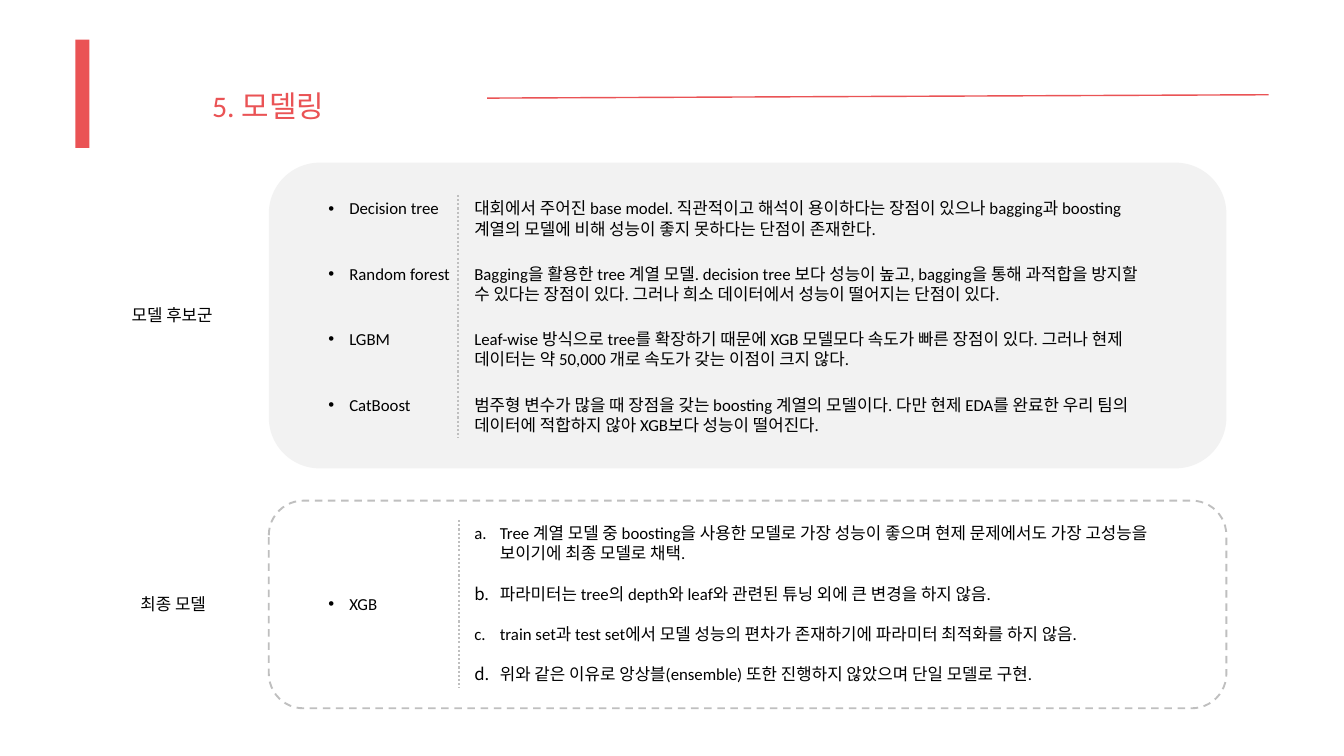
from dataclasses import dataclass

from lxml import etree
from pptx import Presentation
from pptx.dml.color import RGBColor
from pptx.enum import dml, shapes, text
from pptx.oxml import ns
from pptx.util import Inches, Pt

RED = RGBColor(0xEA, 0x53, 0x55)
PALE = RGBColor(0xF2, 0xF2, 0xF2)
GREY = RGBColor(0xBF, 0xBF, 0xBF)
BLACK = RGBColor(0, 0, 0)
FONT = "Calibri"

NAME_X, DETAIL_X = 4.79, 6.96
ROW_TOP, ROW_STEP = 2.9, 0.973
LINE_H = 0.4


@dataclass
class Model:
    name: str
    width: float
    detail: str


@dataclass
class Label:
    x: float
    y: float
    width: float
    words: str


@dataclass
class Rule:
    x1: float
    y1: float
    x2: float
    y2: float
    color: RGBColor
    weight: float
    dash: dml.MSO_LINE | None = None


CANDIDATES = [
    Model("Decision tree", 1.87,
          "대회에서 주어진 base model. 직관적이고 해석이 용이하다는 장점이 있으나 bagging과 "
          "boosting 계열의 모델에 비해 성능이 좋지 못하다는 단점이 존재한다."),
    Model("Random forest", 2.03,
          "Bagging을 활용한 tree 계열 모델. decision tree 보다 성능이 높고, bagging을 통해 과적합을 "
          "방지할 수 있다는 장점이 있다. 그러나 희소 데이터에서 성능이 떨어지는 단점이 있다."),
    Model("LGBM", 1.13,
          "Leaf-wise 방식으로 tree를 확장하기 때문에 XGB 모델모다 속도가 빠른 장점이 있다. 그러나 "
          "현제 데이터는 약 50,000 개로 속도가 갖는 이점이 크지 않다."),
    Model("CatBoost", 1.44,
          "범주형 변수가 많을 때 장점을 갖는 boosting 계열의 모델이다. 다만 현제 EDA를 완료한 우리 "
          "팀의 데이터에 적합하지 않아 XGB보다 성능이 떨어진다."),
]
REASONS = [
    "Tree 계열 모델 중 boosting을 사용한 모델로 가장 성능이 좋으며 현제 문제에서도 가장 "
    "고성능을 보이기에 최종 모델로 채택.",
    "파라미터는 tree의 depth와 leaf와 관련된 튜닝 외에 큰 변경을 하지 않음.",
    "train set과 test set에서 모델 성능의 편차가 존재하기에 파라미터 최적화를 하지 않음.",
    "위와 같은 이유로 앙상블(ensemble) 또한 진행하지 않았으며 단일 모델로 구현.",
]
LABELS = [Label(1.86, 4.49, 1.52, "모델 후보군"), Label(1.99, 8.79, 1.27, "최종 모델")]
RULES = [
    Rule(7.25, 1.46, 18.88, 1.41, RED, 1.5),
    Rule(6.82, 2.9, 6.82, 6.52, GREY, 2.25, dml.MSO_LINE.ROUND_DOT),
    Rule(6.83, 7.74, 6.83, 10.24, GREY, 2.25, dml.MSO_LINE.ROUND_DOT),
]


def add_text(s, x: float, y: float, w: float, h: float, lines: list[str],
             size: float = 18, color: RGBColor = BLACK, wrap: bool = True):
    tf = s.shapes.add_textbox(Inches(x), Inches(y), Inches(w), Inches(h)).text_frame
    tf.word_wrap = wrap
    tf.auto_size = text.MSO_AUTO_SIZE.SHAPE_TO_FIT_TEXT
    tf.text = "\n".join(lines)
    for p in tf.paragraphs:
        for r in p.runs:
            r.font.name, r.font.size, r.font.color.rgb = FONT, Pt(size), color
    return tf


def add_bullets(tf, indent: float, tag: str, **attrs: str) -> None:
    for p in tf.paragraphs:
        pPr = p._p.get_or_add_pPr()
        pPr.set("marL", str(Inches(indent)))
        pPr.set("indent", str(-Inches(indent)))
        if tag == "a:buChar":
            etree.SubElement(pPr, ns.qn("a:buFont"), typeface="Arial")
        etree.SubElement(pPr, ns.qn(tag), **attrs)


def add_name(s, y: float, w: float, name: str) -> None:
    tf = add_text(s, NAME_X, y, w, LINE_H, [name], wrap=False)
    add_bullets(tf, 0.31, "a:buChar", char="•")


def add_block(s, kind, x: float, y: float, w: float, h: float, fill: RGBColor | None):
    sp = s.shapes.add_shape(kind, Inches(x), Inches(y), Inches(w), Inches(h))
    sp.shadow.inherit = False
    if fill is None:
        sp.fill.background()
    else:
        sp.fill.solid()
        sp.fill.fore_color.rgb = fill
    sp.line.fill.background()
    return sp


def add_rule(s, rule: Rule) -> None:
    c = s.shapes.add_connector(shapes.MSO_CONNECTOR.STRAIGHT, Inches(rule.x1),
                               Inches(rule.y1), Inches(rule.x2), Inches(rule.y2))
    c.line.color.rgb = rule.color
    c.line.width = Pt(rule.weight)
    if rule.dash is not None:
        c.line.dash_style = rule.dash
    etree.SubElement(c._element.spPr, ns.qn("a:effectLst"))


def main() -> None:
    prs = Presentation()
    prs.slide_width, prs.slide_height = Inches(20), Inches(11.25)
    s = prs.slides.add_slide(prs.slide_layouts[6])

    # Header
    add_block(s, shapes.MSO_SHAPE.RECTANGLE, 1.12, 0.59, 0.21, 1.61, RED)
    tf = add_text(s, 1.5, 1.03, 4.98, 0.73, ["5. 모델링"], 32, RED)
    tf.margin_left = tf.margin_right = tf.margin_top = tf.margin_bottom = 0
    tf.paragraphs[0].alignment = text.PP_ALIGN.CENTER
    tf.paragraphs[0].line_spacing = Pt(58.5)

    # Candidate models
    add_block(s, shapes.MSO_SHAPE.ROUNDED_RECTANGLE, 4, 2.42, 14.25, 4.55, PALE)
    for i, model in enumerate(CANDIDATES):
        y = ROW_TOP + i * ROW_STEP
        add_name(s, y, model.width, model.name)
        add_text(s, DETAIL_X, y, 10.2, 0.71, [model.detail])

    # Final model
    frame = add_block(s, shapes.MSO_SHAPE.ROUNDED_RECTANGLE, 4, 7.45, 14.25, 3.09, None)
    frame.line.color.rgb = GREY
    frame.line.width = Pt(2)
    frame.line.dash_style = dml.MSO_LINE.DASH
    add_name(s, 8.79, 0.94, "XGB")
    tf = add_text(s, DETAIL_X, 7.73, 10.34, 2.52, REASONS)
    for p in tf.paragraphs[1:]:
        p.space_before = Pt(21.6)
    add_bullets(tf, 0.38, "a:buAutoNum", type="alphaLcPeriod")

    # Rules and side labels
    for rule in RULES:
        add_rule(s, rule)
    for label in LABELS:
        add_text(s, label.x, label.y, label.width, LINE_H, [label.words], wrap=False)

    prs.save("out.pptx")


if __name__ == "__main__":
    main()
